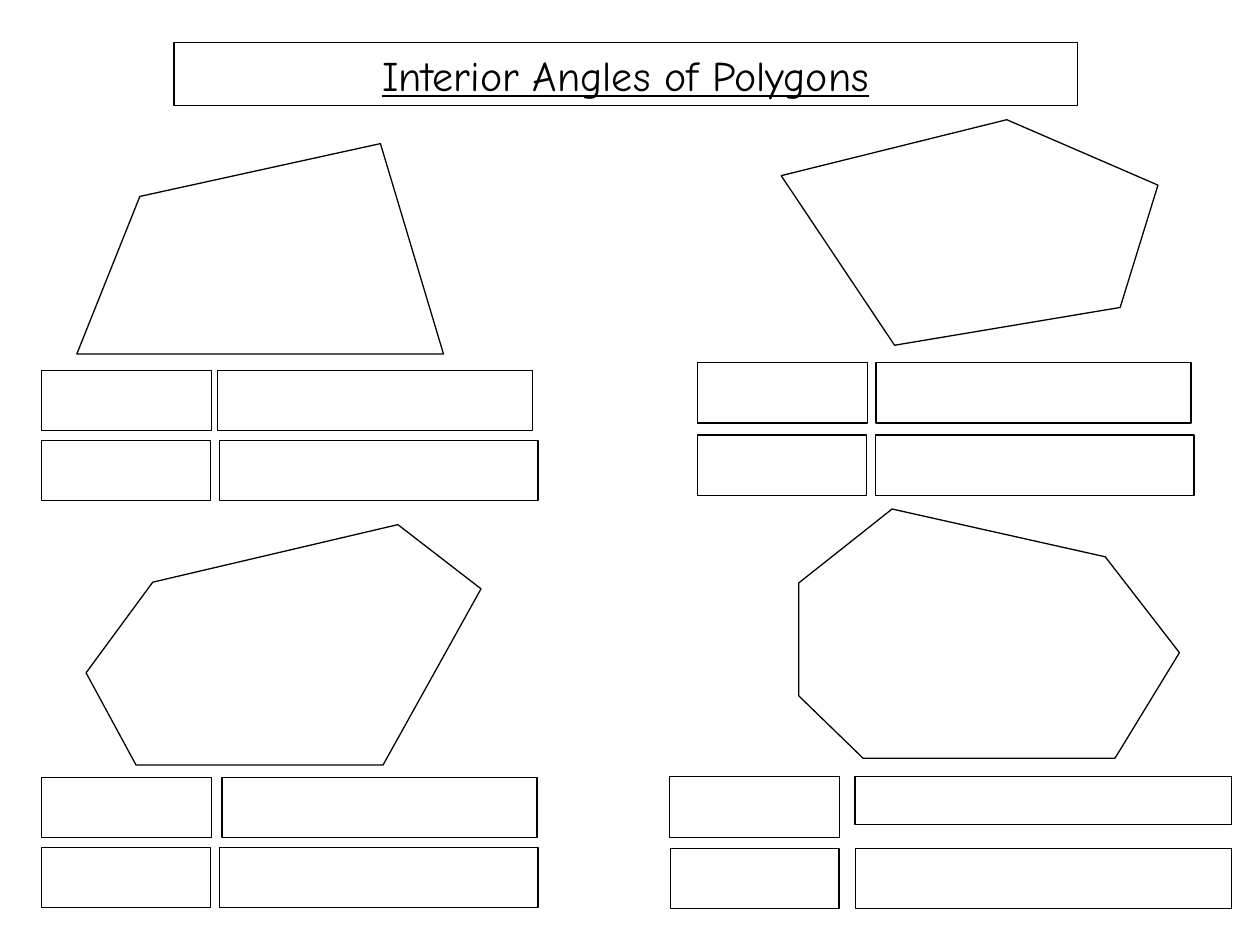
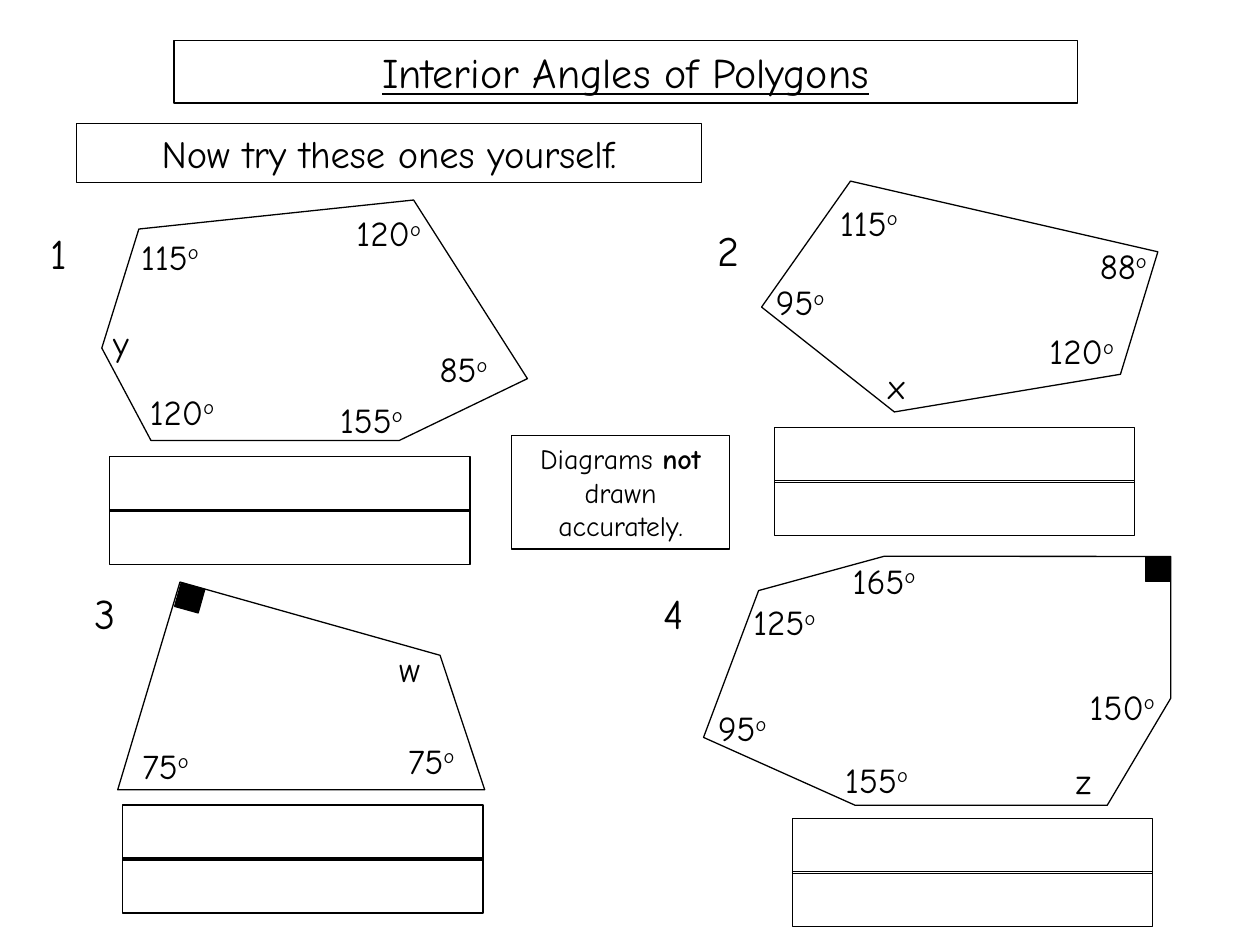
from pptx import Presentation
from pptx.dml.color import RGBColor
from pptx.enum.shapes import MSO_SHAPE as SHAPE
from pptx.enum.text import MSO_ANCHOR as ANCHOR, PP_ALIGN as ALIGN
from pptx.util import Pt

BLACK = RGBColor(0x00, 0x00, 0x00)
FONT = "Comic Neue"
TITLE = "Interior Angles of Polygons"
TITLE_LEFT, TITLE_W, TITLE_H = 99.4, 516.2, 36


def outline(sp, filled=False):
    """Give a shape a thin black line, and a black or no fill."""
    sp.shadow.inherit = False
    sp.line.color.rgb = BLACK
    sp.line.width = Pt(0.75)
    if filled:
        sp.fill.solid()
        sp.fill.fore_color.rgb = BLACK
    else:
        sp.fill.background()
    return sp


def write(sp, runs, size, align=ALIGN.LEFT):
    """Fill a shape with one paragraph made of (text, font format) runs."""
    tf = sp.text_frame
    tf.word_wrap = True
    tf.vertical_anchor = ANCHOR.TOP
    p = tf.paragraphs[0]
    p.alignment = align
    for text, fmt in runs:
        r = p.add_run()
        r.text = text
        r.font.color.rgb = BLACK
        for name, value in {"name": FONT, "size": Pt(size), **fmt}.items():
            setattr(r.font, name, value)
    return p


prs = Presentation()
prs.slide_width, prs.slide_height = Pt(720), Pt(540)

# Per slide: title top and the corners of its polygons
slides = [
    (24.5, [
        [(43.9, 202.3), (253.4, 202.3), (217.4, 82.1), (79.9, 112.3)],
        [(511.2, 197.3), (640.1, 175.7), (661.7, 105.8), (575.3, 68.4),
         (446.4, 100.4)],
        [(77.8, 437.2), (218.9, 437.2), (274.9, 336.5), (227.4, 299.8),
         (87.3, 332.7), (49.2, 384.5)],
        [(493.2, 433.3), (637.2, 433.3), (674, 373), (631.6, 318.2),
         (509.8, 290.9), (456.4, 333.2), (456.4, 397.6)],
    ]),
    (23, [
        [(86.3, 251.7), (228.2, 251.7), (301.4, 216.4), (236.4, 114.3),
         (79.4, 130.9), (58.2, 198.9)],
        [(511.1, 235.4), (640.3, 213.9), (661.7, 143.9), (486, 103.5),
         (435.2, 175.5)],
        [(67.3, 451.3), (277, 451.3), (251.5, 374.5), (102.9, 332.6)],
        [(488.7, 460.2), (632.7, 460.2), (669, 399), (669, 318),
         (505.2, 317.9), (433.5, 337.5), (402, 421.4)],
    ]),
]
for title_top, polygons in slides:
    s = prs.slides.add_slide(prs.slide_layouts[6])
    sp = s.shapes.add_shape(SHAPE.RECTANGLE, Pt(TITLE_LEFT), Pt(title_top),
                            Pt(TITLE_W), Pt(TITLE_H))
    write(outline(sp), [(TITLE, {"underline": True})], 24, ALIGN.CENTER)
    for polygon in polygons:
        corners = [(Pt(x), Pt(y)) for x, y in polygon]
        builder = s.shapes.build_freeform(*corners[0], scale=1.0)
        builder.add_line_segments(corners[1:], close=True)
        outline(builder.convert_to_shape())

worked, practice = prs.slides

# Worked examples: a narrow and a wide answer box in each row
# (top, narrow left, narrow width, wide left, wide width, wide height)
BOX_H = 34.5
answer_rows = [
    (211.7, 23.6, 97.2, 124.5, 180, BOX_H),
    (251.6, 23.8, 96.5, 125.4, 182, BOX_H),
    (207.2, 398.4, 97.2, 500.6, 180, BOX_H),
    (248.5, 398.6, 96.5, 500.3, 182, BOX_H),
    (444.2, 23.6, 97.2, 126.9, 180, BOX_H),
    (484.2, 23.8, 96.5, 125.4, 182, BOX_H),
    (443.9, 382.6, 97.2, 488.6, 215, 27.4),
    (484.8, 383, 96.5, 488.8, 215, BOX_H),
]
for top, left, w, wide_left, wide_w, wide_h in answer_rows:
    for x, width, height in [(left, w, BOX_H), (wide_left, wide_w, wide_h)]:
        outline(worked.shapes.add_shape(SHAPE.RECTANGLE, Pt(x), Pt(top),
                                        Pt(width), Pt(height)))

# Practice: two overlapping answer lines under each polygon
ANSWER_W, ANSWER_H, ANSWER_STEP = 206, 31.4, 30.4
for left, top in [(62.6, 261), (442.5, 244.4), (70, 460), (452.7, 467.8)]:
    for row in range(2):
        outline(practice.shapes.add_shape(
            SHAPE.RECTANGLE, Pt(left), Pt(top + row * ANSWER_STEP),
            Pt(ANSWER_W), Pt(ANSWER_H)))

messages = [
    (43.8, 70.5, 357, 34, 22, [("Now try these ones yourself.", {})]),
    (292.2, 248.8, 124.8, 65, 16, [("Diagrams ", {}), ("not ", {"bold": True}),
                                   ("drawn accurately.", {})]),
]
for left, top, w, h, size, runs in messages:
    sp = practice.shapes.add_shape(SHAPE.RECTANGLE, Pt(left), Pt(top), Pt(w), Pt(h))
    write(outline(sp), runs, size, ALIGN.CENTER)

question_places = [(12.2, 126.7), (394.6, 124.6), (38.2, 331.9), (363.6, 331.9)]
for number, (left, top) in enumerate(question_places, 1):
    sp = practice.shapes.add_textbox(Pt(left), Pt(top), Pt(43.2), Pt(36))
    write(sp, [(str(number), {})], 24, ALIGN.CENTER)

angles = [
    ("y", 57.6, 180), ("120", 78.5, 219.6), ("115", 73.6, 131),
    ("85", 244.1, 195.1), ("120", 196.6, 117.4), ("155", 187.2, 223.9),
    ("x", 500.4, 204.5), ("120", 592.6, 185), ("115", 473, 111.6),
    ("95", 436.3, 157), ("88", 621.4, 136.1),
    ("75", 226.1, 419), ("75", 74.2, 421.9), ("w", 221, 366.5),
    ("z", 607.7, 430.6), ("155", 475.9, 429.8), ("95", 403.2, 400.3),
    ("125", 423.4, 339.8), ("165", 480.2, 316.1), ("150", 615.6, 388.1),
]
for label, left, top in angles:
    sp = practice.shapes.add_textbox(Pt(left), Pt(top), Pt(66.2), Pt(31.7))
    runs = [(label, {})]
    if label.isdigit():
        runs.append(("o", {}))
    p = write(sp, runs, 20)
    if label.isdigit():
        p.runs[1].font._element.set("baseline", "30000")

RIGHT_ANGLE = 14
for left, top, rotation in [(654.6, 318.2, 0), (101.4, 334.7, 15.6)]:
    sp = practice.shapes.add_shape(SHAPE.RECTANGLE, Pt(left), Pt(top),
                                   Pt(RIGHT_ANGLE), Pt(RIGHT_ANGLE))
    outline(sp, filled=True).rotation = rotation

prs.save("out.pptx")
